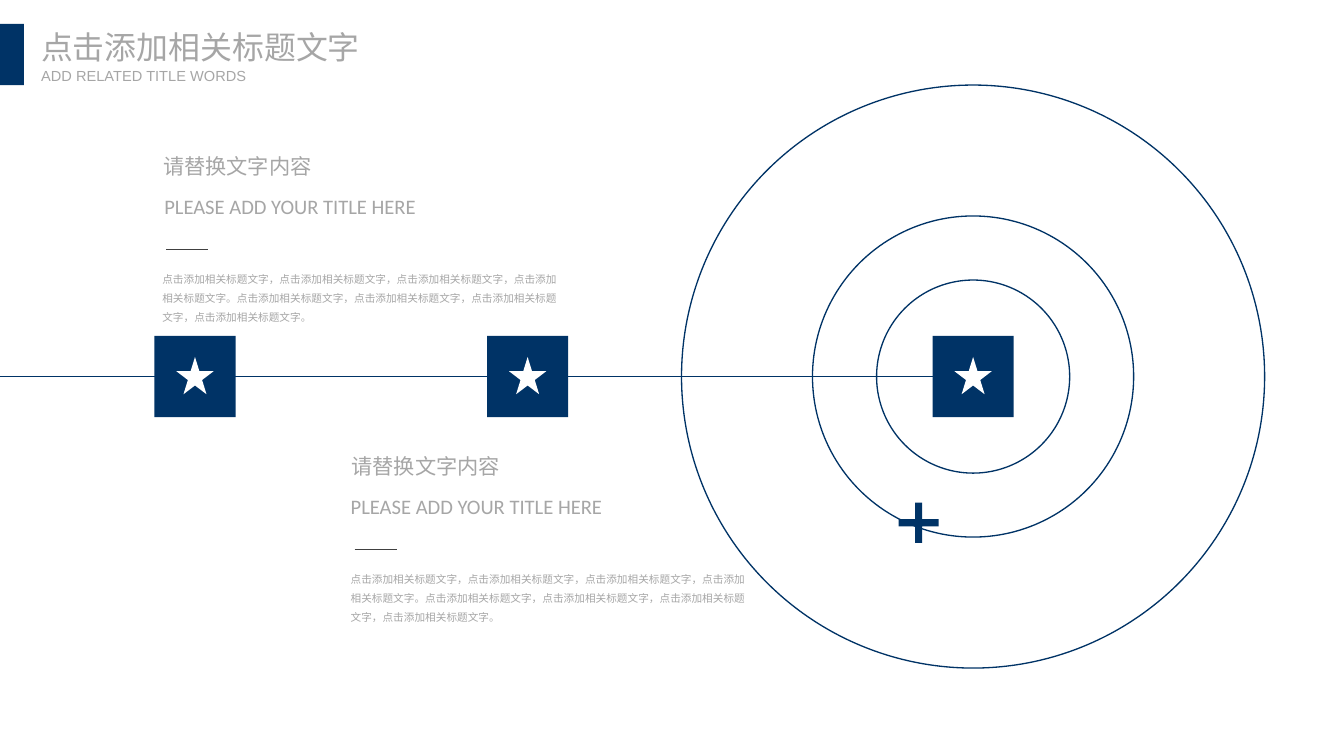
"""Build a timeline slide with starred stops that ends in a target of rings."""
from lxml import etree
from pptx import Presentation
from pptx.dml.color import RGBColor
from pptx.enum.shapes import MSO_CONNECTOR, MSO_SHAPE
from pptx.enum.text import MSO_ANCHOR, MSO_AUTO_SIZE, PP_ALIGN
from pptx.oxml.ns import qn
from pptx.util import Inches, Pt

OVAL, RECT = MSO_SHAPE.OVAL, MSO_SHAPE.RECTANGLE
STAR, PLUS = MSO_SHAPE.STAR_5_POINT, MSO_SHAPE.CROSS
STRAIGHT = MSO_CONNECTOR.STRAIGHT
TOP, LEFT, NO_FIT = MSO_ANCHOR.TOP, PP_ALIGN.LEFT, MSO_AUTO_SIZE.NONE

NAVY, GREY, DARK, WHITE = "003366", "A6A6A6", "404040", "FFFFFF"
CJK = "Noto Sans CJK SC"

TITLE = "点击添加相关标题文字"
SUBTITLE = "ADD RELATED TITLE WORDS"
HEADING = "请替换文字内容"
SUBHEADING = "PLEASE ADD YOUR TITLE HERE"
SENTENCE = "，".join([TITLE] * 4) + "。"
BODY = SENTENCE * 2

TARGET_X, AXIS_Y = 10.18, 3.94
RING_SIZES = [2.02, 3.36, 6.1]
STOP_XS = [2.04, 5.52, TARGET_X]
STOP_SIZE, STAR_SIZE = 0.85, 0.39
BLOCKS = [(1.6, 1.55, 0.02, 0.14), (3.57, 4.69, 0, 0.14)]


def rgb(value):
    return RGBColor.from_string(value)


def add_shape(s, kind, x, y, w, h, fill=None, line=None):
    sp = s.shapes.add_shape(kind, Inches(x), Inches(y), Inches(w), Inches(h))
    sp.shadow.inherit = False
    if fill:
        sp.fill.solid()
        sp.fill.fore_color.rgb = rgb(fill)
    else:
        sp.fill.background()
    if line:
        sp.line.color.rgb = rgb(line)
        sp.line.width = Pt(1)
    else:
        sp.line.fill.background()
    return sp


def add_centred(s, kind, x, y, size, **style):
    return add_shape(s, kind, x - size / 2, y - size / 2, size, size, **style)


def add_line(s, x1, x2, y, color):
    line = s.shapes.add_connector(STRAIGHT, Inches(x1), Inches(y), Inches(x2), Inches(y))
    line.line.color.rgb = rgb(color)
    line.line.width = Pt(1)
    etree.SubElement(line._element.spPr, qn("a:effectLst"))


def set_text(sp, text, size, font, wrap=False, inset=True, spacing=None):
    tf = sp.text_frame
    tf.text = text
    tf.word_wrap = wrap
    tf.auto_size = NO_FIT
    tf.vertical_anchor = TOP
    if not inset:
        tf.margin_left = tf.margin_top = tf.margin_right = tf.margin_bottom = 0
    p = tf.paragraphs[0]
    p.alignment = LEFT
    if spacing:
        p.line_spacing = spacing
    p.font.size = Pt(size)
    p.font.name = font
    p.font.color.rgb = rgb(GREY)
    props = p._p.get_or_add_pPr().find(qn("a:defRPr"))
    etree.SubElement(props, qn("a:ea"), typeface=CJK)


def add_text(s, x, y, w, h, text, size, font, **style):
    box = s.shapes.add_textbox(Inches(x), Inches(y), Inches(w), Inches(h))
    set_text(box, text, size, font, **style)


def add_block(s, x, y, sub_dx, rule_dx):
    add_text(s, x, y + 1.19, 4.33, 0.68, BODY, 8, "Arial", wrap=True, spacing=1.5)
    add_text(s, x + 0.01, y, 1.77, 0.37, HEADING, 16, "Calibri")
    add_text(s, x + sub_dx, y + 0.43, 3.55, 0.36, SUBHEADING, 15.5, "Calibri")
    add_line(s, x + rule_dx, x + rule_dx + 0.44, y + 1.06, DARK)


def main():
    prs = Presentation()
    prs.slide_width, prs.slide_height = Inches(14.06), Inches(7.91)
    s = prs.slides.add_slide(prs.slide_layouts[5])

    for size in RING_SIZES:
        add_centred(s, OVAL, TARGET_X, AXIS_Y, size, line=NAVY)
    add_line(s, 0, TARGET_X, AXIS_Y, NAVY)
    for x in STOP_XS:
        add_centred(s, RECT, x, AXIS_Y, STOP_SIZE, fill=NAVY)
        add_centred(s, STAR, x, AXIS_Y - 0.01, STAR_SIZE, fill=WHITE)
    for block in BLOCKS:
        add_block(s, *block)
    plus = add_centred(s, PLUS, 9.61, 5.47, 0.42, fill=NAVY)
    plus.adjustments[0] = 0.41

    add_shape(s, RECT, 0, 0.25, 0.25, 0.64, fill=NAVY)
    title = s.shapes.title
    title.left, title.top = Inches(0.43), Inches(0.29)
    title.width, title.height = Inches(3.37), Inches(0.4)
    set_text(title, TITLE, 24, CJK, inset=False)
    add_text(s, 0.43, 0.7, 2.18, 0.19, SUBTITLE, 11, "Arial", inset=False)

    prs.save("out.pptx")


if __name__ == "__main__":
    main()
